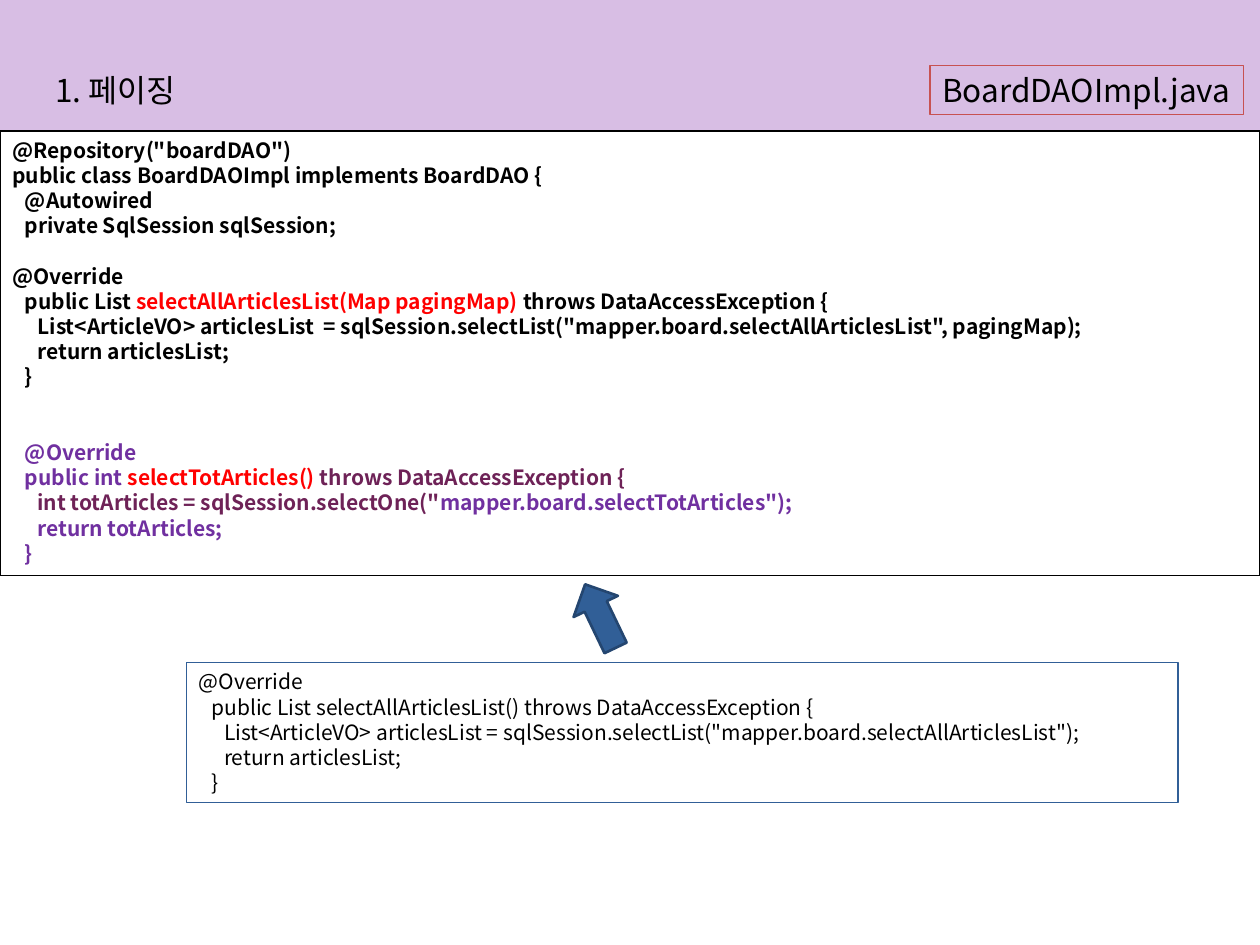
from dataclasses import dataclass

import pptx
import pptx.util
from lxml import etree
from pptx.dml.color import RGBColor
from pptx.enum.shapes import MSO_SHAPE
from pptx.enum.text import MSO_ANCHOR, MSO_AUTO_SIZE, PP_ALIGN
from pptx.oxml.ns import qn
from pptx.util import Inches, Pt


@dataclass(frozen=True)
class Theme:
    """Colours, font and type sizes of the slide."""
    font: str = "Noto Sans CJK KR"
    heading_size: float = 18
    code_size: float = 12
    line_factor: float = 1.2
    indent: float = 0.1
    black: str = "000000"
    band: str = "D8BEE4"
    red: str = "FF0000"
    purple: str = "7030A0"
    plum: str = "6E2257"
    label_line: str = "C75252"
    blue: str = "315F97"
    dark_blue: str = "244670"


THEME = Theme()
TITLE = "1. 페이징"
FILE_NAME = "BoardDAOImpl.java"

# Each line: indent level, empty lines above it, (text, colour) parts.
NEW_CODE = [
    (0, 0, [('@Repository("boardDAO")', THEME.black)]),
    (0, 0, [("public class BoardDAOImpl implements BoardDAO {", THEME.black)]),
    (1, 0, [("@Autowired", THEME.black)]),
    (1, 0, [("private SqlSession sqlSession;", THEME.black)]),
    (0, 1, [("@Override", THEME.black)]),
    (1, 0, [("public List ", THEME.black),
            ("selectAllArticlesList(Map pagingMap)", THEME.red),
            (" throws DataAccessException {", THEME.black)]),
    (2, 0, [('List<ArticleVO> articlesList  = sqlSession.selectList('
             '"mapper.board.selectAllArticlesList", pagingMap);', THEME.black)]),
    (2, 0, [("return articlesList;", THEME.black)]),
    (1, 0, [("}", THEME.black)]),
    (1, 2, [("@Override", THEME.purple)]),
    (1, 0, [("public int ", THEME.purple),
            ("selectTotArticles() ", THEME.red),
            ("throws DataAccessException {", THEME.plum)]),
    (2, 0, [('int totArticles = sqlSession.selectOne("', THEME.plum),
            ('mapper.board.selectTotArticles");', THEME.purple)]),
    (2, 0, [("return totArticles;", THEME.purple)]),
    (1, 0, [("}", THEME.purple)]),
]
OLD_CODE = [
    (0, 0, [("@Override", THEME.black)]),
    (1, 0, [("public List selectAllArticlesList() throws DataAccessException {",
             THEME.black)]),
    (2, 0, [('List<ArticleVO> articlesList = sqlSession.selectList('
             '"mapper.board.selectAllArticlesList");', THEME.black)]),
    (2, 0, [("return articlesList;", THEME.black)]),
    (1, 0, [("}", THEME.black)]),
]


def add_box(slide, kind, place, fill=None, line=None, width=0.75):
    """Add a preset shape with the given fill and outline."""
    shape = slide.shapes.add_shape(kind, *map(Inches, place))
    shape.shadow.inherit = False
    if fill:
        shape.fill.solid()
        shape.fill.fore_color.rgb = RGBColor.from_string(fill)
    else:
        shape.fill.background()
    if line:
        shape.line.color.rgb = RGBColor.from_string(line)
        shape.line.width = Pt(width)
    else:
        shape.line.fill.background()
    return shape


def write_lines(shape, lines, size, bold=False, anchor=MSO_ANCHOR.TOP):
    """Write coloured lines into a shape, indented by level."""
    frame = shape.text_frame
    frame.word_wrap = True
    frame.auto_size = MSO_AUTO_SIZE.NONE
    frame.vertical_anchor = anchor
    pitch = size * THEME.line_factor
    for index, (level, gap, parts) in enumerate(lines):
        paragraph = frame.paragraphs[0] if index == 0 else frame.add_paragraph()
        paragraph.alignment = PP_ALIGN.LEFT
        paragraph.line_spacing = Pt(pitch)
        paragraph.space_before = Pt(gap * pitch)
        paragraph.font.name = THEME.font
        paragraph.font.size = Pt(size)
        paragraph.font.bold = bold
        properties = paragraph._p.get_or_add_pPr()
        properties.set("marL", str(Inches(level * THEME.indent)))
        properties.set("indent", "0")
        latin = properties.find(".//" + qn("a:latin"))
        latin.addnext(etree.Element(qn("a:ea"), typeface=THEME.font))
        for text, colour in parts:
            run = paragraph.add_run()
            run.text = text
            run.font.color.rgb = RGBColor.from_string(colour)


def add_heading(slide):
    """Add the band, the title and the file name label."""
    band = add_box(slide, MSO_SHAPE.FLOWCHART_PROCESS, (0, 0, 10, 1.04), THEME.band)
    slide.shapes._spTree.insert(2, band._element)
    title = slide.shapes.title
    title.left, title.top, title.width, title.height = map(
        Inches, (0.34, 0.52, 2.48, 0.39))
    label = add_box(slide, MSO_SHAPE.RECTANGLE, (7.38, 0.52, 2.49, 0.39),
                    line=THEME.label_line)
    for shape, text in ((title, TITLE), (label, FILE_NAME)):
        write_lines(shape, [(0, 0, [(text, THEME.black)])], THEME.heading_size,
                    anchor=MSO_ANCHOR.MIDDLE)


def build():
    """Build and save the slide."""
    presentation = pptx.Presentation()
    presentation.slide_width, presentation.slide_height = Inches(10), Inches(7.5)
    slide = presentation.slides.add_slide(presentation.slide_layouts[5])
    add_heading(slide)
    for place, line, code, bold in (
            ((0, 1.04, 10, 3.53), THEME.black, NEW_CODE, True),
            ((1.48, 5.26, 7.87, 1.11), THEME.blue, OLD_CODE, False)):
        box = add_box(slide, MSO_SHAPE.RECTANGLE, place, line=line)
        write_lines(box, code, THEME.code_size, bold)
    arrow = add_box(slide, MSO_SHAPE.UP_ARROW, (4.57, 4.61, 0.39, 0.56),
                    THEME.blue, THEME.dark_blue, 1.5)
    arrow.rotation = 334.4
    presentation.save("out.pptx")


build()
